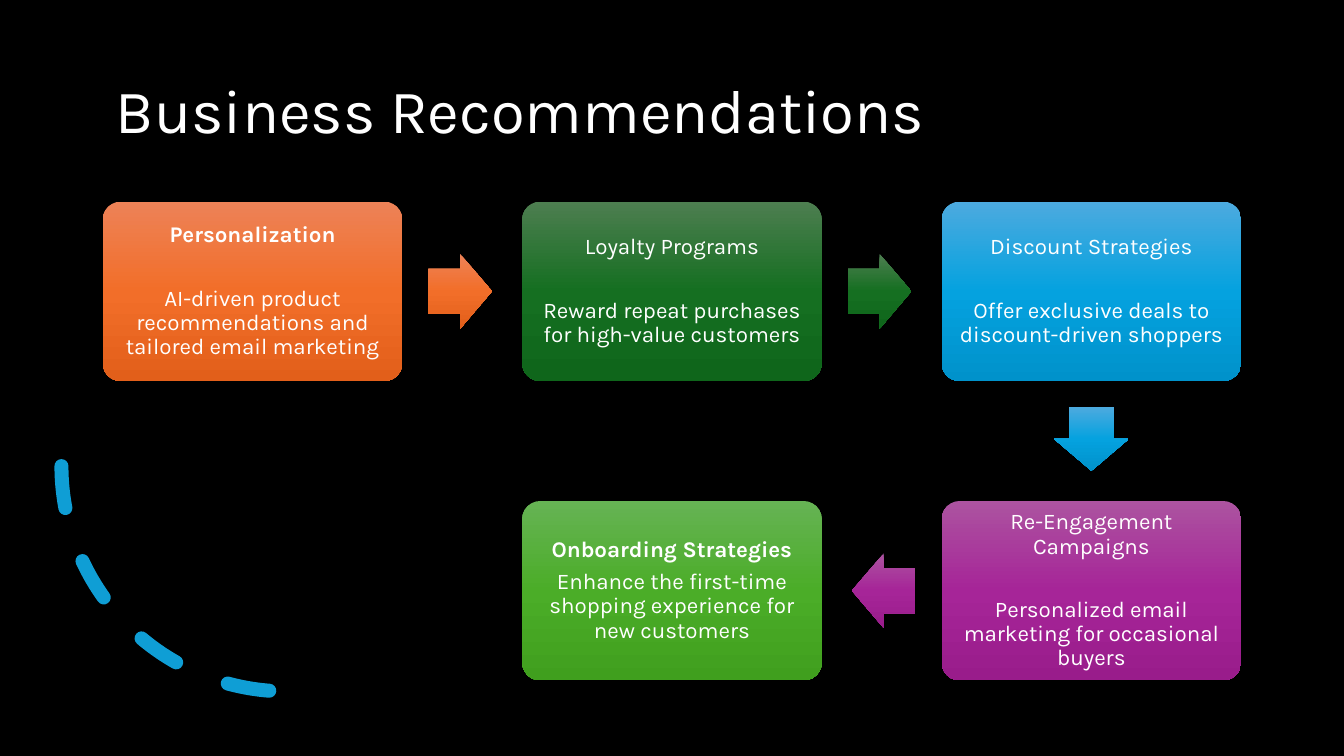
from pptx import Presentation
from pptx.dml.color import RGBColor as RGB
from pptx.enum.dml import MSO_LINE as Dash
from pptx.enum.shapes import MSO_SHAPE as Kind
from pptx.enum.text import MSO_ANCHOR as Anchor, MSO_AUTO_SIZE as Fit, PP_ALIGN as Align
from pptx.oxml import parse_xml
from pptx.oxml.ns import nsdecls
from pptx.util import Inches, Pt

BLACK = RGB(0x00, 0x00, 0x00)
WHITE = RGB(0xFF, 0xFF, 0xFF)
BLUE = RGB(0x0F, 0x9E, 0xD5)
ORANGE = RGB(0xED, 0x82, 0x57), RGB(0xF2, 0x6E, 0x29), RGB(0xE2, 0x5F, 0x1A)
FOREST = RGB(0x4D, 0x7E, 0x50), RGB(0x15, 0x6F, 0x21), RGB(0x0F, 0x66, 0x1B)
SKY = RGB(0x4C, 0xAA, 0xDF), RGB(0x05, 0xA2, 0xDF), RGB(0x00, 0x92, 0xCB)
PURPLE = RGB(0xAC, 0x53, 0xA0), RGB(0xA6, 0x25, 0x98), RGB(0x99, 0x1C, 0x8B)
GREEN = RGB(0x66, 0xB3, 0x54), RGB(0x4B, 0xAD, 0x28), RGB(0x40, 0x9F, 0x1E)

FONT = "Karla"
TITLE = "Business Recommendations"
WIDE, TIGHT = 28, 5.6
STEPS = [
    (0, 0, ORANGE, "Personalization", True, WIDE,
     "AI-driven product recommendations and tailored email marketing"),
    (1, 0, FOREST, "Loyalty Programs", False, WIDE,
     "Reward repeat purchases for high-value customers"),
    (2, 0, SKY, "Discount Strategies", False, WIDE,
     "Offer exclusive deals to discount-driven shoppers"),
    (2, 1, PURPLE, "Re-Engagement Campaigns", False, WIDE,
     "Personalized email marketing for occasional buyers"),
    (1, 1, GREEN, "Onboarding Strategies", True, TIGHT,
     "Enhance the first-time shopping experience for new customers"),
]
ARROWS = {
    (1, 0): Kind.RIGHT_ARROW,
    (-1, 0): Kind.LEFT_ARROW,
    (0, 1): Kind.DOWN_ARROW,
}

LEFT, TOP = 1.02, 2
BOX_W, BOX_H = 2.97, 1.78
STEP_X, STEP_Y = 4.16, 2.97
LONG, BROAD = 0.63, 0.74
SHIFT = 0.02


def write(para, text, size=16, bold=False, align=Align.CENTER, after=0):
    para.alignment = align
    para.line_spacing = 0.9
    para.space_before = Pt(0)
    para.space_after = Pt(after)
    run = para.add_run()
    run.text = text
    run.font.name = FONT
    run.font.size = Pt(size)
    run.font.bold = bold
    run.font.color.rgb = WHITE


def shade(shape, tones):
    stops = "".join(
        f'<a:gs pos="{i * 50000}"><a:srgbClr val="{tone}"/></a:gs>'
        for i, tone in enumerate(tones))
    shape.fill.gradient()
    fill = shape.element.spPr.find(
        "{http://schemas.openxmlformats.org/drawingml/2006/main}gradFill")
    fill.getparent().replace(fill, parse_xml(
        f'<a:gradFill {nsdecls("a")} rotWithShape="1"><a:gsLst>{stops}</a:gsLst>'
        '<a:lin ang="5400000" scaled="0"/></a:gradFill>'))


def draw(slide, kind, mid_x, mid_y, width, height, tones, adjust):
    shape = slide.shapes.add_shape(
        kind, Inches(mid_x - width / 2), Inches(mid_y - height / 2),
        Inches(width), Inches(height))
    for i, value in enumerate(adjust):
        shape.adjustments[i] = value
    shade(shape, tones)
    shape.line.fill.background()
    shape.shadow.inherit = False
    return shape


def center(col, row):
    return LEFT + BOX_W / 2 + col * STEP_X, TOP + BOX_H / 2 + row * STEP_Y


def add_title(slide):
    title = slide.shapes.title
    title.left, title.top = Inches(0.92), Inches(0.4)
    title.width, title.height = Inches(11.5), Inches(1.45)
    frame = title.text_frame
    frame.auto_size = Fit.NONE
    frame.vertical_anchor = Anchor.MIDDLE
    frame.margin_left = Inches(0.23)
    write(frame.paragraphs[0], TITLE, size=44, align=Align.LEFT)


def add_arc(slide):
    arc = slide.shapes.add_shape(
        Kind.ARC, Inches(0.61), Inches(2.39), Inches(4.47), Inches(4.47))
    arc.rotation = 90
    arc.element.spPr.xfrm.set("flipV", "1")
    arc.fill.background()
    arc.line.color.rgb = BLUE
    arc.line.width = Pt(10)
    arc.line.dash_style = Dash.DASH
    arc.line._get_or_add_ln().set("cap", "rnd")
    arc.shadow.inherit = False


def add_box(slide, col, row, tones, head, bold, gap, body):
    box = draw(slide, Kind.ROUNDED_RECTANGLE, *center(col, row),
               BOX_W, BOX_H, tones, [0.1])
    frame = box.text_frame
    frame.word_wrap = True
    frame.vertical_anchor = Anchor.MIDDLE
    frame.margin_left = frame.margin_right = Inches(0.12)
    frame.margin_top = frame.margin_bottom = Inches(0.12)
    write(frame.paragraphs[0], head, bold=bold, after=gap)
    write(frame.add_paragraph(), body)


def add_arrow(slide, start, end, tones):
    dx, dy = end[0] - start[0], end[1] - start[1]
    (x1, y1), (x2, y2) = center(*start), center(*end)
    size = (LONG, BROAD) if dx else (BROAD, LONG)
    draw(slide, ARROWS[dx, dy], (x1 + x2) / 2 - SHIFT * dx,
         (y1 + y2) / 2 - SHIFT * dy, *size, tones, [0.6, 0.5])


def main():
    deck = Presentation()
    deck.slide_width, deck.slide_height = Inches(13.33), Inches(7.5)
    slide = deck.slides.add_slide(deck.slide_layouts[5])
    slide.background.fill.solid()
    slide.background.fill.fore_color.rgb = BLACK
    add_title(slide)
    add_arc(slide)
    for step in STEPS:
        add_box(slide, *step)
    for step, after in zip(STEPS, STEPS[1:]):
        add_arrow(slide, step[:2], after[:2], step[2])
    deck.save("out.pptx")


if __name__ == "__main__":
    main()
